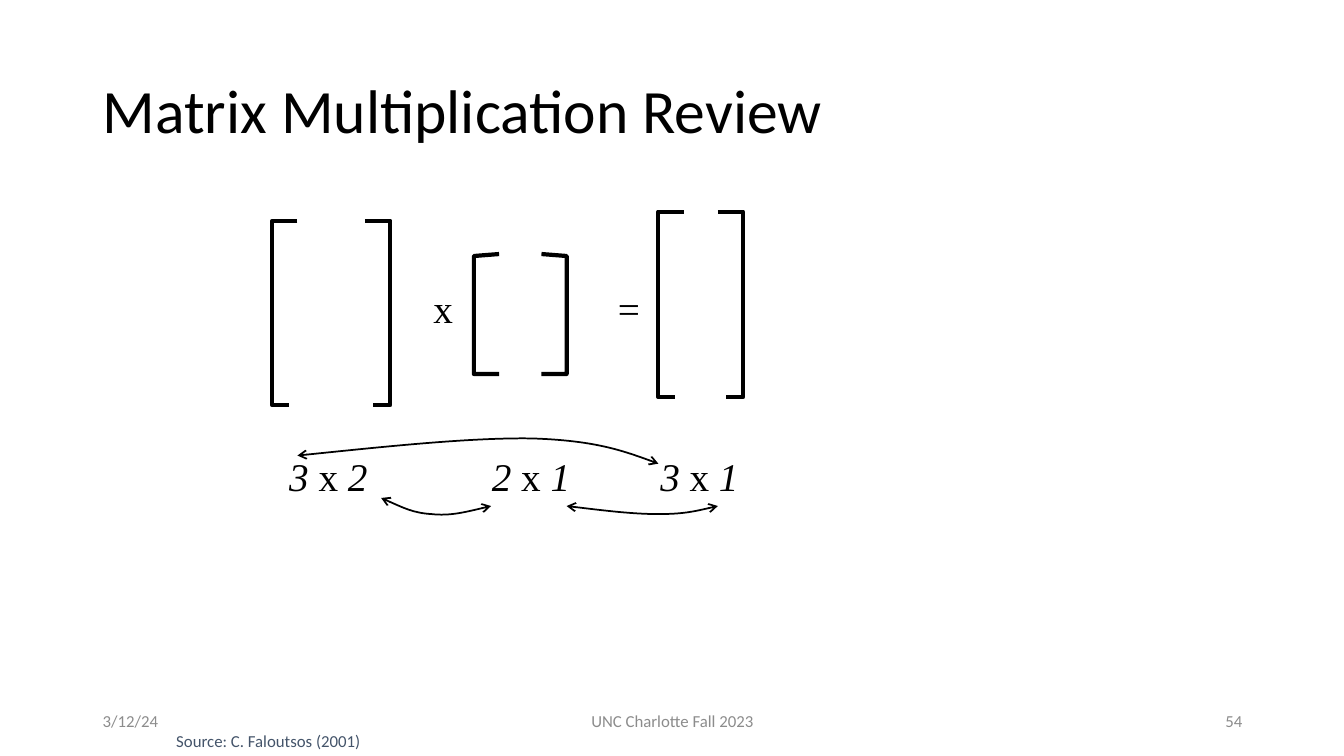
import pptx
import pptx.util
import pptx.dml.color
import pptx.enum.text
import pptx.oxml
import pptx.oxml.ns

PX = 9144  # EMU in one px, 100 px to the inch
COLORS = {"ink": "000000", "footer": "8C8C8C", "source": "44546A"}
ALIGN = pptx.enum.text.PP_ALIGN
ANCHOR = pptx.enum.text.MSO_ANCHOR
FIT = pptx.enum.text.MSO_AUTO_SIZE


def rgb(name):
    return pptx.dml.color.RGBColor.from_string(COLORS[name])


class Page:
    sans, serif = "Calibri", "Times New Roman"

    def __init__(self, deck):
        self.shapes = deck.slides.add_slide(deck.slide_layouts[6]).shapes

    def text(self, place, spans, size, font=sans, color="ink", spacing=None,
             align=ALIGN.LEFT, anchor=ANCHOR.MIDDLE, wrap=True, fit=FIT.NONE):
        """Write one paragraph; spans are (wording, italic) pairs."""
        box = self.shapes.add_textbox(*(length * PX for length in place))
        frame = {"word_wrap": wrap, "auto_size": fit, "vertical_anchor": anchor}
        for name, value in frame.items():
            setattr(box.text_frame, name, value)
        para = box.text_frame.paragraphs[0]
        para.alignment = align
        para.line_spacing = spacing
        for wording, italic in spans:
            span = para.add_run()
            span.text = wording
            style = {"name": font, "size": pptx.util.Pt(size), "italic": italic}
            for name, value in style.items():
                setattr(span.font, name, value)
            span.font.color.rgb = rgb(color)

    def math(self, left, top, width, spans):
        self.text((left, top, width, 57), spans, 28, self.serif,
                  wrap=False, fit=FIT.SHAPE_TO_FIT_TEXT)

    def outline(self, points, width, ends):
        """Draw an open line; ends are the tags that finish its a:ln element."""
        builder = self.shapes.build_freeform(*points[0], scale=PX)
        builder.add_line_segments(points[1:], close=False)
        shape = builder.convert_to_shape()
        shape.shadow.inherit = False
        shape.fill.background()
        shape.line.color.rgb = rgb("ink")
        shape.line.width = pptx.util.Pt(width)
        line = shape.line._get_or_add_ln()
        for tag, kind in ends:
            end = pptx.oxml.parse_xml(f'<a:{tag} {pptx.oxml.ns.nsdecls("a")}/>')
            if kind:
                end.set("type", kind)
            line.append(end)
        return shape

    def brackets(self, left, right, top, bottom, top_tip, bottom_tip, lean=0):
        for edge, inward in ((left, 1), (right, -1)):
            self.outline([(edge + inward * top_tip, top), (edge, top + lean),
                          (edge, bottom), (edge + inward * bottom_tip, bottom)],
                         3, [("round", None)])

    def curve(self, points):
        """Draw a double-headed arrow through two joined cubic curves."""
        shape = self.outline(points, 1.25, [("round", None), ("headEnd", "arrow"),
                                            ("tailEnd", "arrow")])
        tag = pptx.oxml.ns.qn
        steps = list(shape._element.iter(tag("a:lnTo")))
        for first in range(0, len(steps), 3):
            cubic = steps[first].getparent().makeelement(tag("a:cubicBezTo"))
            steps[first].addprevious(cubic)
            for step in steps[first:first + 3]:
                cubic.append(step[0])
                step.getparent().remove(step)


def main():
    deck = pptx.Presentation()
    deck.slide_width, deck.slide_height = 1333 * PX, 750 * PX
    page = Page(deck)

    page.text((92, 40, 1150, 145), [("Matrix Multiplication Review", False)], 44,
              spacing=0.9)
    for left, width, wording, align in (
            (92, 300, "3/12/24", ALIGN.LEFT),
            (442, 450, "UNC Charlotte Fall 2023", ALIGN.CENTER),
            (942, 300, "54", ALIGN.RIGHT)):
        page.text((left, 695, width, 40), [(wording, False)], 12,
                  color="footer", align=align)

    page.brackets(270, 387, 219, 402, 25, 17)
    page.brackets(470, 562, 252, 371, 25, 25, lean=2)
    page.brackets(653, 737, 210, 394, 25, 17)
    for left, width, sign in ((420, 40, "x"), (603, 42, "=")):
        page.math(left, 277, width, [(sign, False)])
    for left, rows, columns in ((277, 3, 2), (478, 2, 1), (645, 3, 1)):
        page.math(left, 444, 98,
                  [(f"{rows} ", True), ("x", False), (f" {columns}", True)])

    page.curve([(378, 494), (394, 501), (410, 509), (428, 510),
                (446, 512), (466, 507), (487, 502)])
    page.curve([(295, 452), (382, 443), (469, 434), (528, 435),
                (588, 437), (621, 448), (653, 460)])
    page.curve([(562, 502), (595, 506), (628, 510), (653, 510),
                (678, 510), (695, 506), (712, 502)])

    page.text((165, 720, 217, 30), [("Source: C. Faloutsos (2001)", False)], 12,
              color="source", anchor=ANCHOR.TOP, fit=FIT.SHAPE_TO_FIT_TEXT)
    deck.save("out.pptx")


if __name__ == "__main__":
    main()
